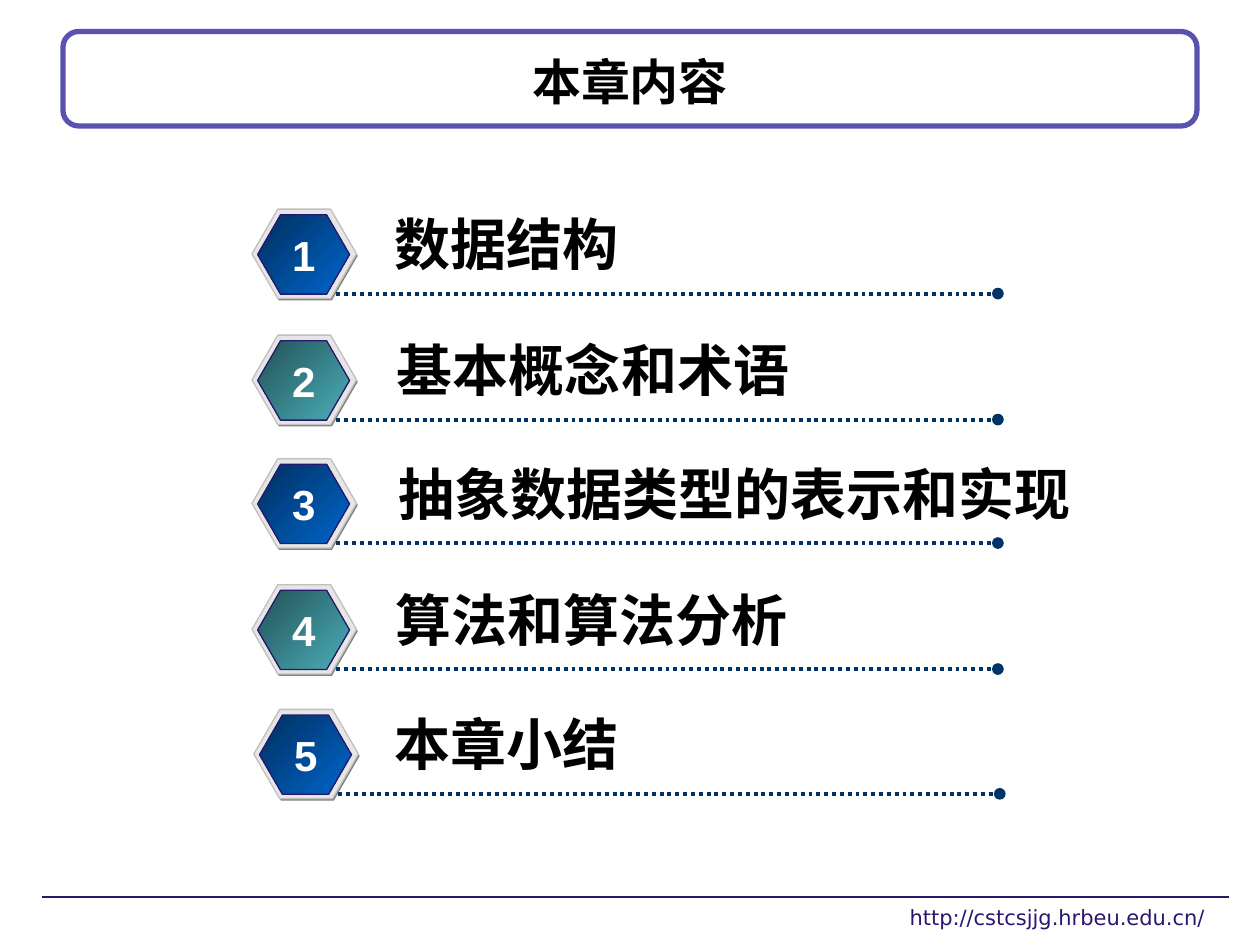
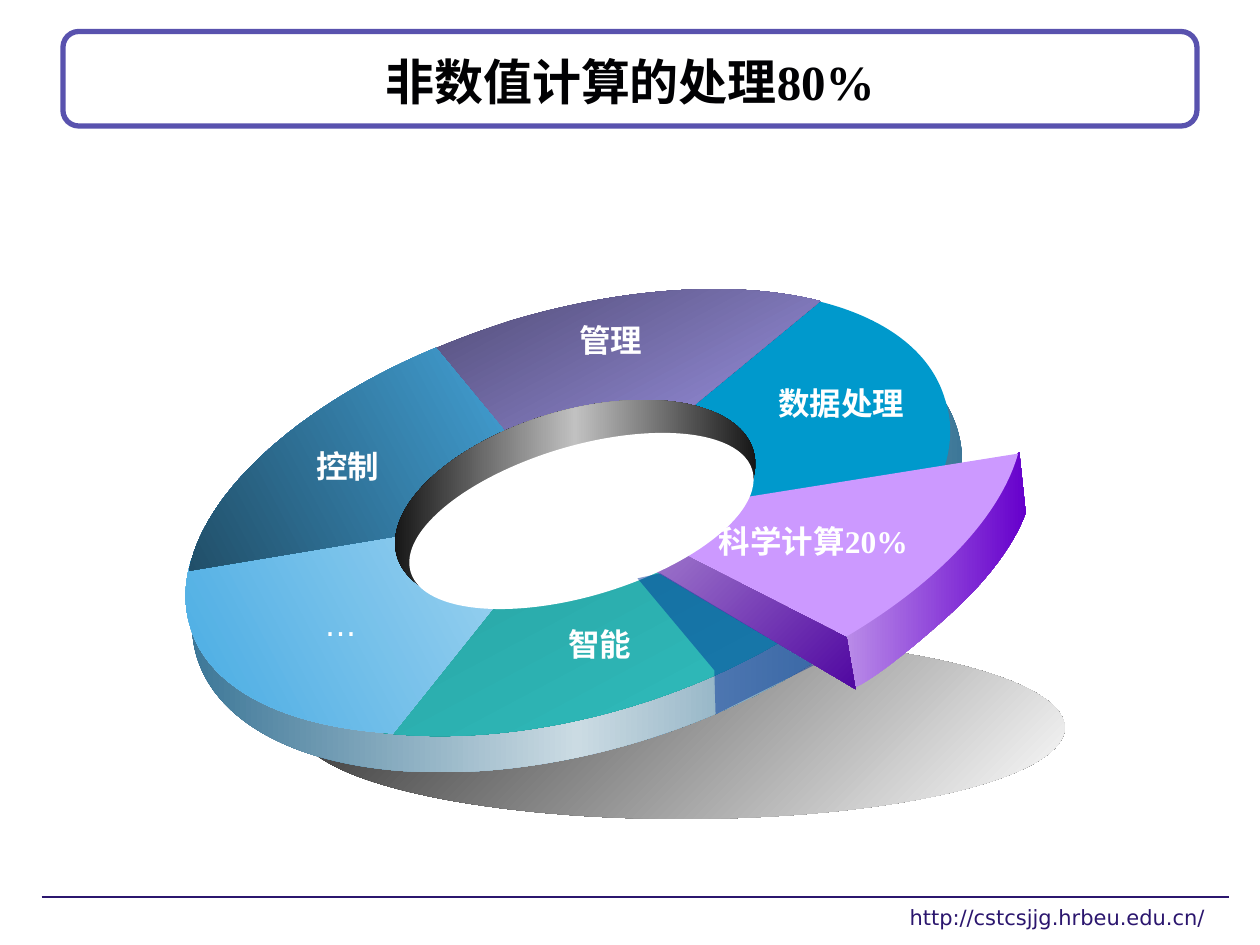
from lxml import etree
from pptx import Presentation, util as u
from pptx.dml.color import RGBColor
from pptx.enum import dml, shapes as sh, text as tx
from pptx.oxml.ns import qn

# Colours
INK = RGBColor(0x01, 0x01, 0x03)
WHITE = RGBColor(0xFF, 0xFF, 0xFF)
BLACK = RGBColor(0x00, 0x00, 0x00)
INDIGO = RGBColor(0x2B, 0x16, 0x6E)
VIOLET = RGBColor(0x59, 0x52, 0xAE)
NAVY = RGBColor(0x00, 0x33, 0x66)
GREY = RGBColor(0x80, 0x80, 0x80)
SILVER = RGBColor(0xC0, 0xC0, 0xC0)
PALE = RGBColor(0xE6, 0xE6, 0xE6)
SHINE = RGBColor(0xC1, 0xC1, 0xC1)
COAL = RGBColor(0x29, 0x29, 0x29)
STEEL = RGBColor(0x29, 0x69, 0x8D)
MIST = RGBColor(0xCB, 0xDB, 0xE3)
AZURE = RGBColor(0x00, 0x99, 0xCC)
SKY = RGBColor(0x47, 0xAB, 0xE3)
LILAC = RGBColor(0xCC, 0x99, 0xFF)
COBALT = RGBColor(0x00, 0x33, 0x99)
BLUES = RGBColor(0x00, 0x2F, 0x5E), RGBColor(0x00, 0x66, 0xCC)
TEALS = RGBColor(0x23, 0x51, 0x56), RGBColor(0x4B, 0xAF, 0xB9)
GREENS = RGBColor(0x20, 0x82, 0x82), RGBColor(0x33, 0xCC, 0xCC)
LIGHTS = RGBColor(0xAB, 0xD9, 0xF2), SKY
PLUMS = RGBColor(0x4F, 0x4A, 0x73), RGBColor(0xAA, 0xA0, 0xF8)
DEEPS = SKY, RGBColor(0x21, 0x4F, 0x69)
RIMS = RGBColor(0xB9, 0x8B, 0xE8), RGBColor(0x66, 0x00, 0xCC)
CUTS = RGBColor(0xAF, 0x8E, 0xD4), RGBColor(0x50, 0x07, 0xA1)

# Grid: the slide is 100 columns by 75 rows of square cells
CELL = u.Inches(0.1)
SANS, SERIF, HEAD = "DejaVu Sans", "Times New Roman", "Arial"
TILT = 343.4
MID = tx.PP_ALIGN.CENTER


def cells(*vals):
    return [round(v * CELL) for v in vals]


def paint(shape, fill, ang=0, line=None, wide=0.75, alpha=None):
    """Fill with one colour, or with a gradient when given several."""
    shape.shadow.inherit = False
    if isinstance(fill, RGBColor):
        shape.fill.solid()
        shape.fill.fore_color.rgb = fill
    else:
        shape.fill.gradient()
        shape.fill.gradient_angle = -ang % 360
        grad = shape._element.spPr.find(qn("a:gradFill"))
        grad.set("rotWithShape", "0")
        stops = grad.find(qn("a:gsLst"))
        for old in list(stops):
            stops.remove(old)
        for i, tint in enumerate(fill):
            stop = etree.SubElement(stops, qn("a:gs"), pos=str(100000 * i // (len(fill) - 1)))
            etree.SubElement(stop, qn("a:srgbClr"), val=str(tint))
    if alpha:
        tint = shape._element.spPr.find(".//" + qn("a:srgbClr"))
        etree.SubElement(tint, qn("a:alpha"), val=str(alpha * 1000))
    if line:
        shape.line.color.rgb = line
        shape.line.width = u.Pt(wide)
    else:
        shape.line.fill.background()
    return shape


def block(on, kind, box, fill, rot=0, **look):
    shape = on.add_shape(kind, *cells(*box))
    shape.rotation = rot
    return paint(shape, fill, **look)


def rule(on, x, y, end, tint, wide):
    line = on.add_connector(sh.MSO_CONNECTOR.STRAIGHT, *cells(x, y, end, y))
    line.line.color.rgb = tint
    line.line.width = u.Pt(wide)
    etree.SubElement(line._element.spPr, qn("a:effectLst"))
    return line


def write(frame, *words, size=18, font=SANS, tint=WHITE, bold=True, align=MID):
    """Write runs in one paragraph; a run may be a (text, font) pair."""
    para = frame.paragraphs[0]
    para.alignment = align
    for word in words:
        word, face = word if isinstance(word, tuple) else (word, font)
        run = para.add_run()
        run.text = word
        run.font.name, run.font.size, run.font.bold = face, u.Pt(size), bold
        run.font.color.rgb = tint


def label(on, box, *words, wrap=False, **form):
    frame = on.add_textbox(*cells(*box)).text_frame
    frame.word_wrap = wrap
    if not wrap:
        frame.auto_size = tx.MSO_AUTO_SIZE.SHAPE_TO_FIT_TEXT
    write(frame, *words, **form)


def patch(on, org, start, *parts, fill, **look):
    """Outline relative to org, of lines (x, y) and cubic curves (six numbers)."""
    flat = [*start, *(n for part in parts for n in part)]
    pts = [cells(org[0] + x, org[1] + y) for x, y in zip(flat[::2], flat[1::2])]
    pen = on.build_freeform(*pts[0])
    pen.add_line_segments(pts[1:], close=True)
    shape = pen.convert_to_shape()
    # Join the three points of each curve
    legs = iter(shape._element.spPr.findall(".//" + qn("a:lnTo")))
    for part in parts:
        leg = next(legs)
        if len(part) == 6:
            leg.addprevious(curve := etree.Element(qn("a:cubicBezTo")))
            for step in (leg, next(legs), next(legs)):
                curve.append(step[0])
                step.getparent().remove(step)
    paint(shape, fill, **look)


def frame(slide, layout):
    """Title box and foot rule, kept on the layout for all slides."""
    box = block(slide.shapes, sh.MSO_SHAPE.ROUNDED_RECTANGLE, (5, 2.5, 90, 7.5), WHITE,
                line=VIOLET, wide=3)
    foot = rule(slide.shapes, 3.3, 71.2, 97.5, INDIGO, 0.75)
    tree = layout.shapes._spTree
    for i, part in enumerate((box, foot)):
        tree.insert(2 + i, part._element)


def page(deck, layout, title):
    slide = deck.slides.add_slide(layout)
    head = slide.shapes.title
    head.left, head.top, head.width, head.height = cells(5, 3.3, 90, 6.2)
    head.text_frame.vertical_anchor = tx.MSO_ANCHOR.MIDDLE
    write(head.text_frame, title, size=28, font=SERIF, tint=INK)
    label(slide.shapes, (71.2, 71.3, 28.8, 3.7), "http://cstcsjjg.hrbeu.edu.cn/", wrap=True,
          size=12, tint=INDIGO, bold=False, align=tx.PP_ALIGN.LEFT)
    return slide


def topic(slide, x, y, num, name, left):
    """One numbered row of the chapter list."""
    on = slide.shapes.add_group_shape().shapes
    # Hexagon badge: shade, rim and face
    for dx, dy, w, h, fill, line in (
            (0.1, 0.15, 8.3, 7.1, GREY, None),
            (0, 0, 8.3, 7.1, PALE, SILVER),
            (0.45, 0.45, 7.3, 6.3, BLUES if num % 2 else TEALS, INDIGO)):
        hexa = block(on, sh.MSO_SHAPE.HEXAGON, (x + dx, y + dy, w, h), fill, ang=45, line=line)
        hexa.adjustments[0] = 0.289
    # Dotted rule with a round end
    dots = rule(on, x + 6.7, y + 6.7, x + 59.2, NAVY, 2.25)
    dots.line.dash_style = dml.MSO_LINE.ROUND_DOT
    etree.SubElement(dots.line._get_or_add_ln(), qn("a:tailEnd"), type="oval")
    # Name, a little wider than its letters, and number
    label(on, (left - 0.1, y - 0.45, 2.2 + 4.45 * len(name), 6.4), name,
          size=32, font=HEAD, tint=INK)
    label(on, (x + 2.2, y + 1.1, 3.8, 5), str(num), size=24, font=HEAD)


def ring(slide, x, y):
    """Tilted ring of fields with one slice pulled out."""
    on = slide.shapes.add_group_shape().shapes
    org = x, y
    right = tx.PP_ALIGN.RIGHT

    def oval(dx, dy, w, h, fill, rot=TILT, ang=0):
        block(on, sh.MSO_SHAPE.OVAL, (x + dx, y + dy, w, h), fill, rot, ang=ang)

    def tag(dx, dy, w, *words, align=right, bold=True):
        label(on, (x + dx, y + dy, w, 4), *words, align=align, bold=bold)

    # Cast shadow, edge and top face
    oval(9.4, 28.5, 60.8, 14.5, (COAL, WHITE), rot=0, ang=45)
    oval(0, 4.6, 63, 33, (STEEL, MIST, STEEL))
    oval(0.6, 2.8, 60.8, 32, GREENS, ang=62)

    # Coloured sectors
    patch(on, org, (50.2, 1.8), (55.9, 3.1, 59.6, 5.9, 60.7, 9.7),
          (61.4, 11.7, 61.2, 14, 60.2, 16.3), (30.9, 18.6), fill=AZURE)
    patch(on, org, (0.9, 22.4), (0.3, 24.3, 0.3, 26.1, 0.8, 27.7),
          (2.2, 32.6, 8.2, 35.7, 16.9, 36.2), (30.9, 18.7), fill=LIGHTS, ang=152)
    patch(on, org, (19.9, 5.8), (22, 4.9, 24.2, 4.1, 26.4, 3.4),
          (35.2, 0.8, 44.2, 0.2, 50.8, 1.9), (30.9, 18.3), fill=PLUMS, ang=62)
    patch(on, org, (20.3, 5.6), (9.5, 10.1, 1.9, 17, 0.7, 23.3), (30.8, 18.3),
          fill=DEEPS, ang=152)

    # Inner wall
    oval(16.6, 10.6, 29.5, 14.7, (BLACK, SHINE, BLACK))
    tag(9.8, 12.95, 7, "控制")
    tag(30.65, 2.95, 7, "管理")
    tag(46.45, 7.95, 12, "数据处理")

    # Pulled slice: rim, top and cut side
    patch(on, org, (52.9, 28.5), (66.6, 13.9), (67.1, 18.7),
          (66.4, 20.7, 64.7, 23.2, 62.4, 25.5), (60.1, 27.8, 55, 32.1, 53.4, 32.6),
          (53.1, 31.3, 52.9, 28.5, 52.9, 28.5), fill=RIMS)
    patch(on, org, (66.5, 14), (65.1, 19, 60, 24.4, 52.4, 28.8), (34, 19.2), fill=LILAC)
    patch(on, org, (52.9, 28.6), (53.6, 32.7), (35.5, 22), (34.3, 19.1), fill=CUTS, ang=45)
    tag(41.15, 18.95, 17.6, "科学计算", ("20%", SERIF))
    tag(29.8, 27.1, 7, "智能", align=MID)
    tag(10.5, 25.5, 4, "…", bold=False)

    # Hole and the shade under the slice
    oval(17.7, 13.4, 28.3, 11.9, WHITE)
    patch(on, org, (36.3, 23.9), (42.4, 31.2), (42.5, 34.7), (50.3, 30.8), (38.1, 23.5),
          fill=COBALT, alpha=49)


def main():
    deck = Presentation()
    deck.slide_width, deck.slide_height = cells(100, 75)
    layout = deck.slide_layouts[5]

    # Chapter list: left and top of each badge, name and its left
    list_page = page(deck, layout, "本章内容")
    frame(list_page, layout)
    rows = ((20, 16.6, "数据结构", 30.3), (20, 26.6, "基本概念和术语", 30.5),
            (20, 36.4, "抽象数据类型的表示和实现", 30.6), (20, 46.4, "算法和算法分析", 30.4),
            (20.15, 56.3, "本章小结", 30.3))
    for num, (x, y, name, left) in enumerate(rows, 1):
        topic(list_page, x, y, num, name, left)

    # Ring of fields
    ring(page(deck, layout, "非数值计算的处理80%"), 14.3, 22)
    deck.save("out.pptx")


if __name__ == "__main__":
    main()
